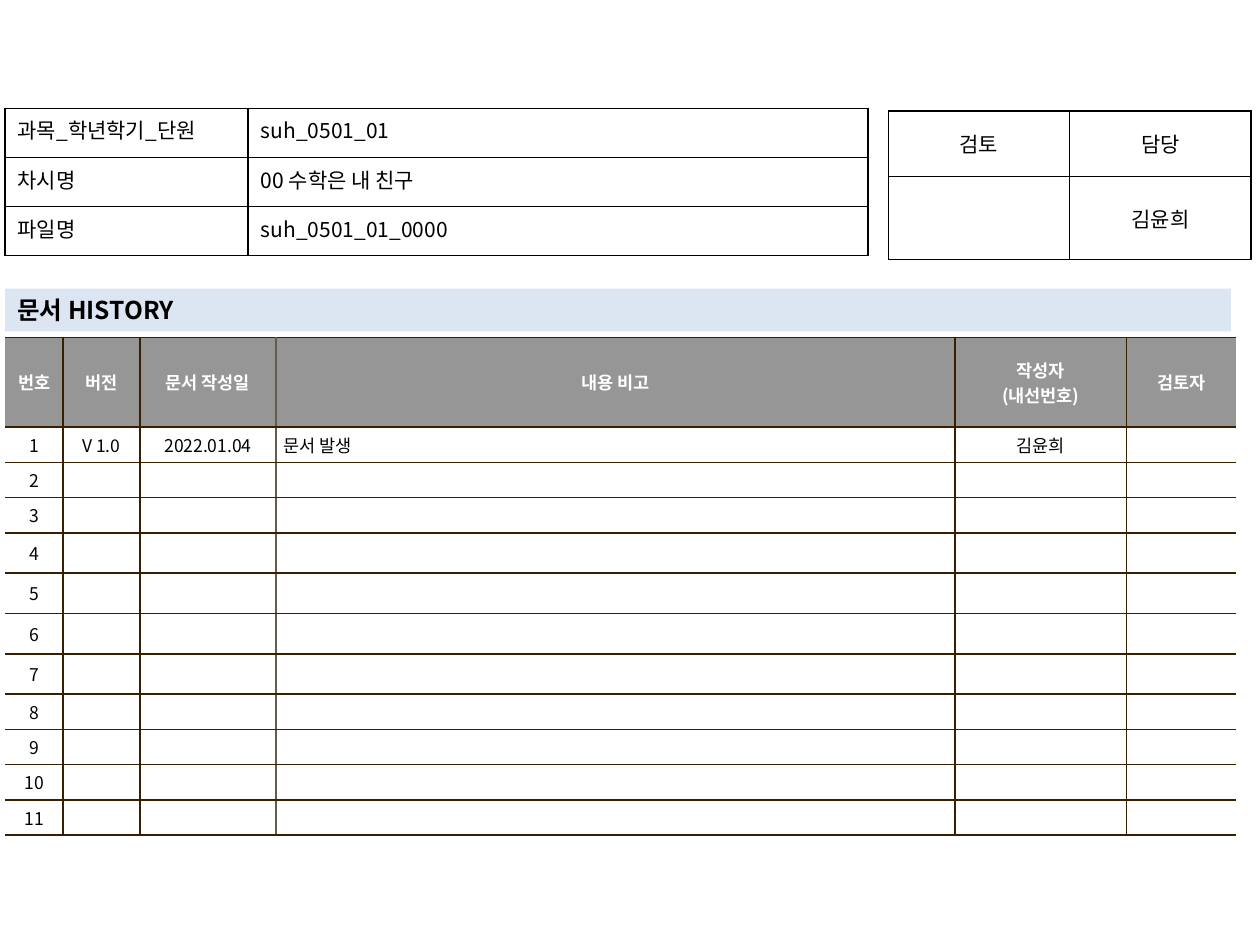
from lxml import etree
from pptx import Presentation
from pptx.dml.color import RGBColor
from pptx.enum.shapes import MSO_SHAPE
from pptx.enum.text import MSO_ANCHOR, PP_ALIGN
from pptx.oxml.ns import qn
from pptx.util import Inches, Pt

TOP, MIDDLE = MSO_ANCHOR.TOP, MSO_ANCHOR.MIDDLE
LEFT, CENTER, JUSTIFY = PP_ALIGN.LEFT, PP_ALIGN.CENTER, PP_ALIGN.JUSTIFY
RECTANGLE = MSO_SHAPE.RECTANGLE

FONT = "Noto Sans CJK KR"
BLACK = RGBColor(0x00, 0x00, 0x00)
WHITE = RGBColor(0xFF, 0xFF, 0xFF)
HEADER_GRAY = RGBColor(0x96, 0x96, 0x96)
TITLE_BLUE = RGBColor(0xDC, 0xE6, 0xF2)
BROWN = RGBColor(0x36, 0x20, 0x00)
TAUPE = RGBColor(0x64, 0x5B, 0x4C)


def format_text(text_frame, size, color, bold=False, alignment=LEFT):
    for paragraph in text_frame.paragraphs:
        paragraph.alignment = alignment
        for run in paragraph.runs:
            run.font.name = FONT
            run.font.size = Pt(size)
            run.font.bold = bold
            run.font.color.rgb = color
            east_asian = etree.SubElement(run.font._element, qn("a:ea"))
            east_asian.set("typeface", FONT)
        if not paragraph.runs:
            end_properties = etree.SubElement(paragraph._p, qn("a:endParaRPr"))
            end_properties.set("sz", str(size * 100))


def set_borders(cell, left, right, top, bottom):
    properties = cell._tc.get_or_add_tcPr()
    sides = (("a:lnL", left), ("a:lnR", right), ("a:lnT", top), ("a:lnB", bottom))
    for index, (tag, color) in enumerate(sides):
        line = etree.Element(qn(tag), w=str(Pt(1)))
        if color is None:
            etree.SubElement(line, qn("a:noFill"))
        else:
            fill = etree.SubElement(line, qn("a:solidFill"))
            etree.SubElement(fill, qn("a:srgbClr"), val=str(color))
        properties.insert(index, line)


def add_plain_table(slide, box, column_widths, row_heights):
    shape = slide.shapes.add_table(len(row_heights), len(column_widths), *box)
    table = shape.table
    table.first_row = False
    table.horz_banding = False
    for column, width in zip(table.columns, column_widths):
        column.width = Inches(width)
    for row, height in zip(table.rows, row_heights):
        row.height = Inches(height)
    return table


def add_black_grid(slide, box, column_widths, row_heights, rows, alignments, anchor):
    table = add_plain_table(slide, box, column_widths, row_heights)
    for row_index, texts in enumerate(rows):
        for column_index, text in enumerate(texts):
            cell = table.cell(row_index, column_index)
            cell.text_frame.text = text
            cell.vertical_anchor = anchor
            cell.fill.background()
            format_text(cell.text_frame, 12, BLACK, alignment=alignments[column_index])
            set_borders(cell, BLACK, BLACK, BLACK, BLACK)


def add_document_info(slide, box):
    rows = [
        ("과목_학년학기_단원 ", "suh_0501_01"),
        ("차시명", "00 수학은 내 친구"),
        ("파일명", "suh_0501_01_0000"),
    ]
    add_black_grid(slide, box, [1.93, 4.92], [0.39] * 3, rows, (JUSTIFY, LEFT), TOP)


def add_review_box(slide, box):
    rows = [("검토", "담당"), ("", "김윤희")]
    add_black_grid(slide, box, [1.44] * 2, [0.52, 0.66], rows, (CENTER, CENTER), MIDDLE)


def add_history_title(slide, box):
    shape = slide.shapes.add_shape(RECTANGLE, *box)
    shape.shadow.inherit = False
    shape.fill.solid()
    shape.fill.fore_color.rgb = TITLE_BLUE
    shape.line.fill.background()
    text_frame = shape.text_frame
    text_frame.text = "문서 HISTORY"
    text_frame.vertical_anchor = MIDDLE
    format_text(text_frame, 14, BLACK, bold=True)


def add_history_table(slide, box):
    headers = ("번호", "버전", "문서 작성일", "내용 비고", "작성자\n(내선번호)", "검토자")
    first_entry = ("1", "V 1.0", "2022.01.04", "문서 발생", "김윤희", "")
    numbered_rows = [(str(number), "", "", "", "", "") for number in range(2, 12)]
    rows = [headers, first_entry] + numbered_rows
    column_widths = [0.46, 0.61, 1.08, 5.39, 1.36, 0.87]
    row_heights = [0.71] + [0.28] * 3 + [0.32] * 4 + [0.28] * 4
    dividers = [None, BROWN, BROWN, TAUPE, BROWN, BROWN, None]
    note_column = 3

    table = add_plain_table(slide, box, column_widths, row_heights)
    for row_index, texts in enumerate(rows):
        is_header = row_index == 0
        for column_index, text in enumerate(texts):
            cell = table.cell(row_index, column_index)
            cell.text_frame.text = text
            cell.vertical_anchor = MIDDLE
            cell.margin_left = cell.margin_right = Inches(0.06)
            cell.margin_top = cell.margin_bottom = Inches(0.04)
            cell.fill.solid()
            cell.fill.fore_color.rgb = HEADER_GRAY if is_header else WHITE
            is_note = column_index == note_column and not is_header
            format_text(cell.text_frame, 10, WHITE if is_header else BLACK,
                        is_header, LEFT if is_note else CENTER)
            if is_note and text:
                properties = cell.text_frame.paragraphs[0]._p.get_or_add_pPr()
                properties.set("marL", str(Inches(0.19)))
                properties.set("indent", str(Inches(-0.19)))
            set_borders(cell, dividers[column_index], dividers[column_index + 1],
                        BROWN, BROWN)


def main():
    presentation = Presentation()
    presentation.slide_width = Inches(10)
    presentation.slide_height = Inches(7.5)
    slide = presentation.slides.add_slide(presentation.slide_layouts[6])
    regions = [
        (add_history_table, (0.04, 2.68, 9.77, 3.95)),
        (add_review_box, (7.05, 0.88, 2.88, 1.18)),
        (add_history_title, (0.04, 2.29, 9.73, 0.34)),
        (add_document_info, (0.04, 0.86, 6.85, 1.17)),
    ]
    for add_region, box in regions:
        add_region(slide, [Inches(length) for length in box])
    presentation.save("out.pptx")


if __name__ == "__main__":
    main()
